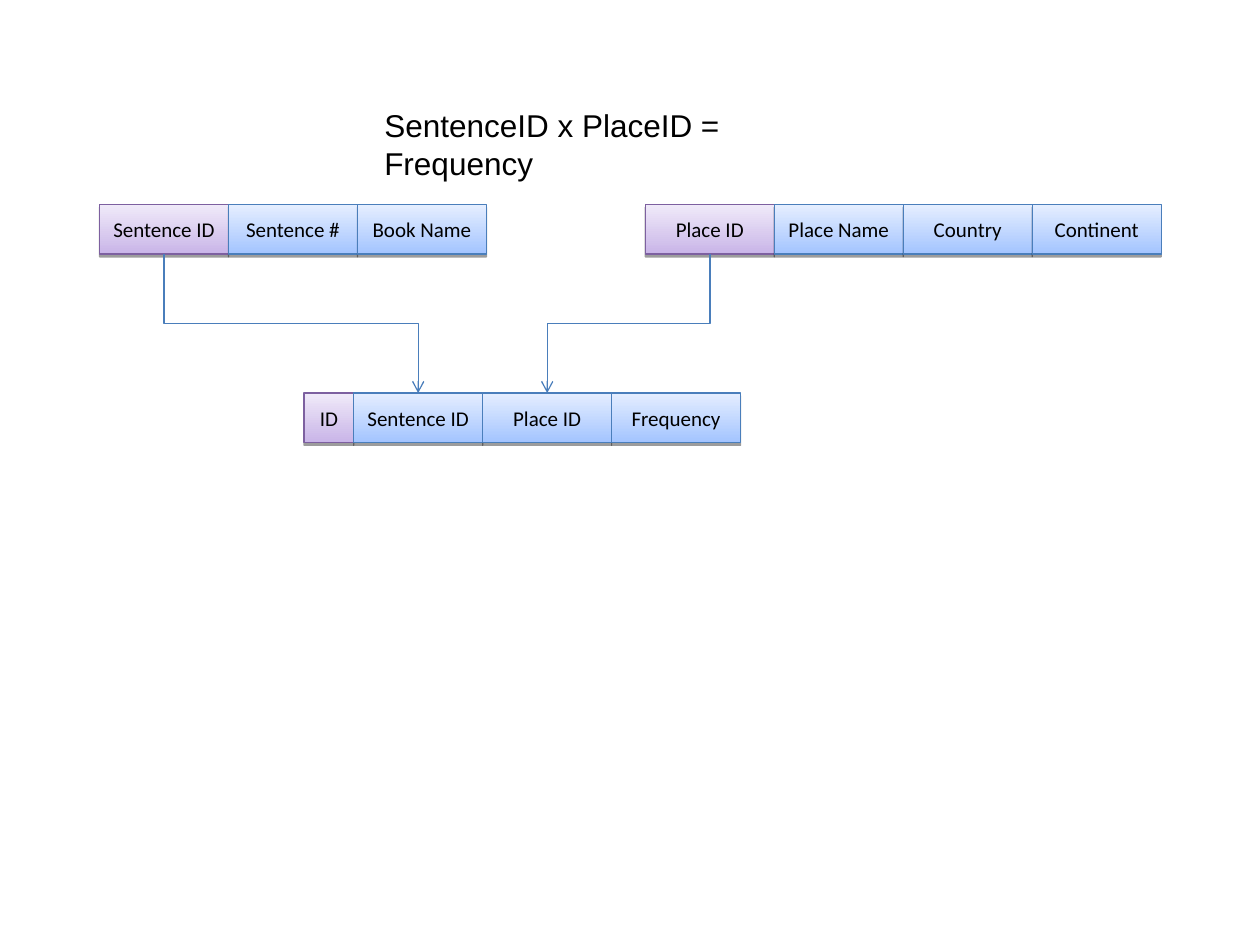
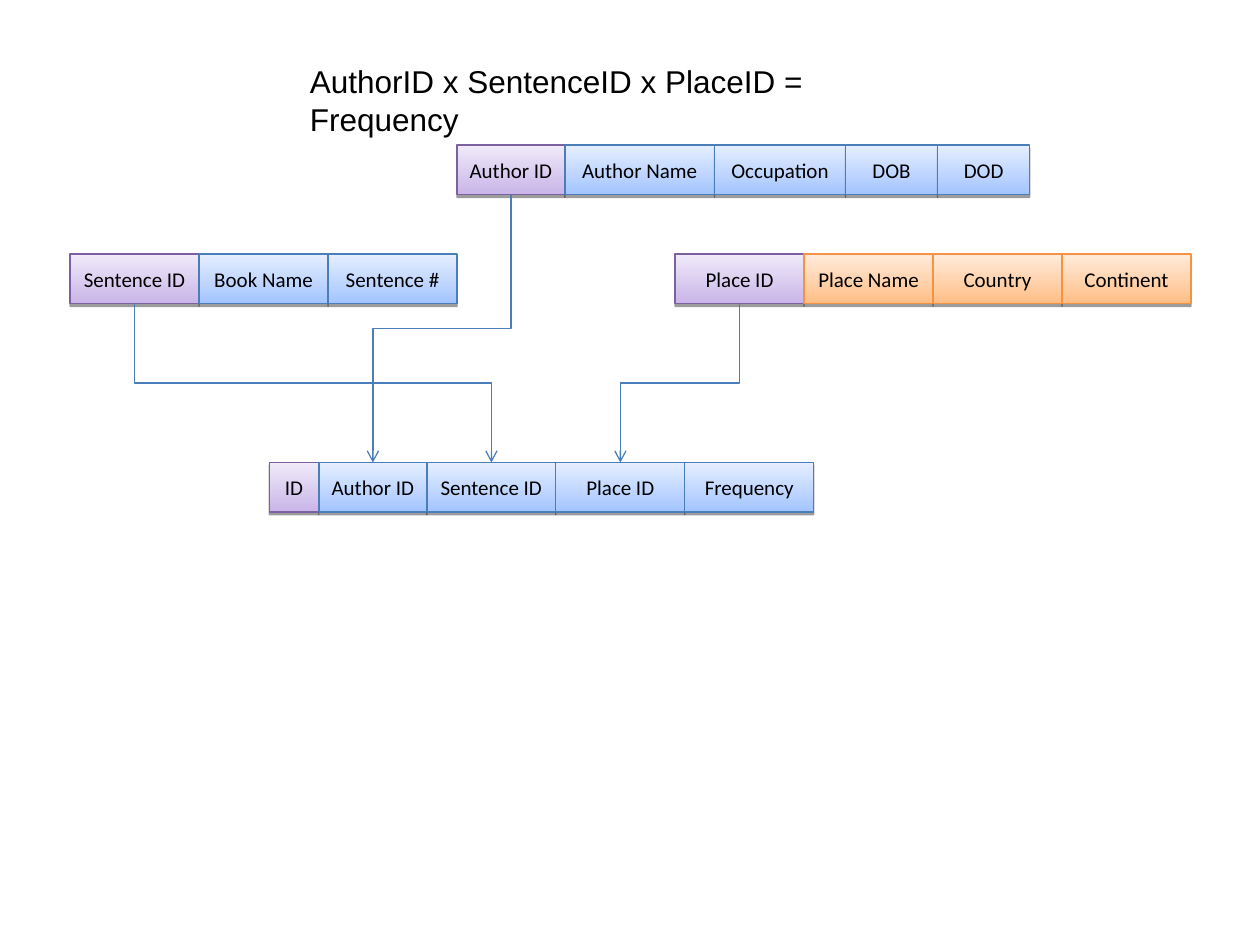
from lxml.etree import SubElement
from pptx import Presentation
from pptx.dml.color import RGBColor
from pptx.enum.shapes import MSO_CONNECTOR, MSO_SHAPE
from pptx.enum.text import MSO_ANCHOR, MSO_AUTO_SIZE, PP_ALIGN
from pptx.oxml.ns import qn
from pptx.util import Pt

# Gradients run from the bottom colour to the top colour
COLOURS = {
    "text": "000000", "shadow": "000000", "link": "4A7EBB",
    "key_bottom": "C9B5E8", "key_top": "F0EAF9", "key_line": "7D60A0",
    "field_bottom": "A3C4FF", "field_top": "E5EEFF", "field_line": "4A7EBB",
    "place_bottom": "FFBE86", "place_top": "FFEBDB", "place_line": "F69240",
}

FIELD_HEIGHT = 28.35
FIELD_WIDTH = 73.7
SPECIAL_WIDTHS = {"ID": 28.35, "Author ID": 61.7, "Author Name": 85.5,
                  "Occupation": 74.9, "DOB": 52.6, "DOD": 52.6}
BOTTOM_SITE, TOP_SITE = 2, 0

# Each entity: name, left, top, style of its plain fields, field names (key first)
# Each link: entity whose key is used, field of the frequency entity
SCHEMAS = [
    {
        "title": "SentenceID x PlaceID = Frequency",
        "title_box": (212.4, 56.9, 295.9, 28.8),
        "entities": [
            ("sentence", 56.9, 116.9, "field", ["Sentence ID", "Sentence #", "Book Name"]),
            ("place", 368.8, 116.9, "field",
             ["Place ID", "Place Name", "Country", "Continent"]),
            ("frequency", 173.8, 224.6, "field",
             ["ID", "Sentence ID", "Place ID", "Frequency"]),
        ],
        "links": [("sentence", "Sentence ID"), ("place", "Place ID")],
    },
    {
        "title": "AuthorID x SentenceID x PlaceID = Frequency",
        "title_box": (169.9, 31.7, 385.9, 28.8),
        "entities": [
            ("sentence", 40.1, 145.2, "field", ["Sentence ID", "Book Name", "Sentence #"]),
            ("place", 385.8, 145.2, "place",
             ["Place ID", "Place Name", "Country", "Continent"]),
            ("author", 261.1, 82.9, "field",
             ["Author ID", "Author Name", "Occupation", "DOB", "DOD"]),
            ("frequency", 153.9, 264.3, "field",
             ["ID", "Author ID", "Sentence ID", "Place ID", "Frequency"]),
        ],
        "links": [("sentence", "Sentence ID"), ("place", "Place ID"),
                  ("author", "Author ID")],
    },
]


def colour(name):
    return RGBColor.from_string(COLOURS[name])


def write(shape, text, size=12, font="Calibri", align=PP_ALIGN.CENTER,
          anchor=MSO_ANCHOR.MIDDLE):
    frame = shape.text_frame
    frame.word_wrap = False
    frame.auto_size = MSO_AUTO_SIZE.NONE
    frame.vertical_anchor = anchor
    paragraph = frame.paragraphs[0]
    paragraph.alignment = align
    run = paragraph.add_run()
    run.text = text
    run.font.size = Pt(size)
    run.font.name = font
    run.font.color.rgb = colour("text")


prs = Presentation()
prs.slide_width, prs.slide_height = Pt(720), Pt(540)
title_only = prs.slide_layouts[5]

for schema in SCHEMAS:
    slide = prs.slides.add_slide(title_only)

    # Title
    title = slide.shapes.title
    title.left, title.top, title.width, title.height = map(Pt, schema["title_box"])
    write(title, schema["title"], size=18, font="Arial", align=PP_ALIGN.LEFT,
          anchor=MSO_ANCHOR.TOP)

    # Entities: one row of adjoining fields each
    fields = {}
    for entity, left, top, plain_style, names in schema["entities"]:
        for name in names:
            style = "key" if name == names[0] else plain_style
            width = SPECIAL_WIDTHS.get(name, FIELD_WIDTH)
            field = slide.shapes.add_shape(MSO_SHAPE.RECTANGLE, Pt(left), Pt(top),
                                           Pt(width), Pt(FIELD_HEIGHT))
            field.fill.gradient()
            field.fill.gradient_angle = 90
            for stop, end in zip(field.fill.gradient_stops, ("bottom", "top")):
                stop.color.rgb = colour(f"{style}_{end}")
            field.line.color.rgb = colour(f"{style}_line")
            field.line.width = Pt(0.75)

            # Sharp shadow straight below
            field.shadow.inherit = False
            effects = field._element.spPr.find(qn("a:effectLst"))
            shadow = SubElement(effects, qn("a:outerShdw"), blurRad="0",
                                dist=str(Pt(1.6)), dir="5400000", rotWithShape="0")
            tint = SubElement(shadow, qn("a:srgbClr"), val=COLOURS["shadow"])
            SubElement(tint, qn("a:alpha"), val="38000")

            write(field, name)
            fields[entity, name] = field
            left += width

    # Links: from a key down to its field in the frequency entity
    for entity, key in schema["links"]:
        source, target = fields[entity, key], fields["frequency", key]
        link = slide.shapes.add_connector(MSO_CONNECTOR.ELBOW, 0, 0, 0, 0)
        link.begin_connect(source, BOTTOM_SITE)
        link.end_connect(target, TOP_SITE)

        # Turn the elbow so that it leaves and arrives vertically
        across = target.left + target.width // 2 - source.left - source.width // 2
        start = source.top + source.height
        down = target.top - start
        middle = source.left + source.width // 2 + across // 2
        link.width, link.height = down, abs(across)
        link.left = middle - down // 2
        link.top = start + down // 2 - abs(across) // 2
        xfrm = link._element.spPr.find(qn("a:xfrm"))
        xfrm.set("rot", "16200000" if across > 0 else "5400000")
        xfrm.set("flipH", "1" if across > 0 else "0")
        xfrm.set("flipV", "0")

        link.line.color.rgb = colour("link")
        link.line.width = Pt(0.75)
        SubElement(link.line._get_or_add_ln(), qn("a:tailEnd"), type="arrow")
        SubElement(link._element.spPr, qn("a:effectLst"))

prs.save("out.pptx")
